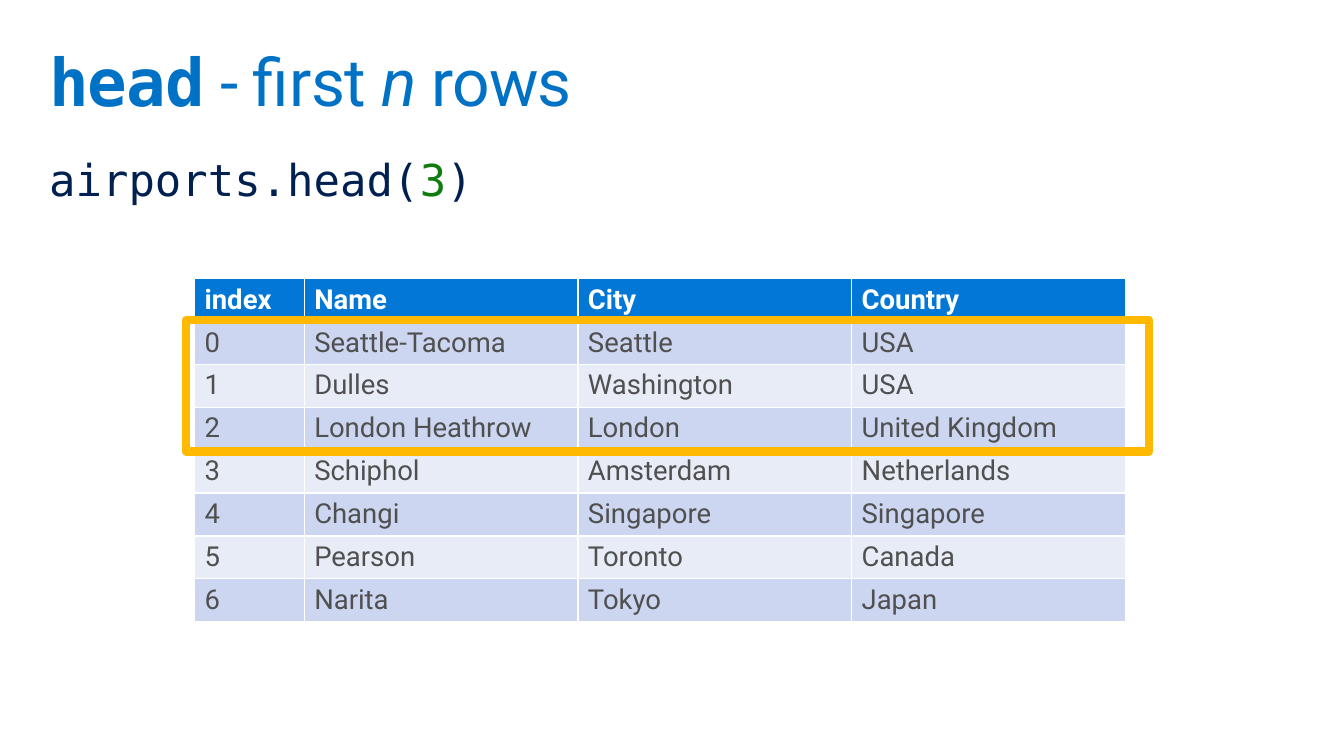
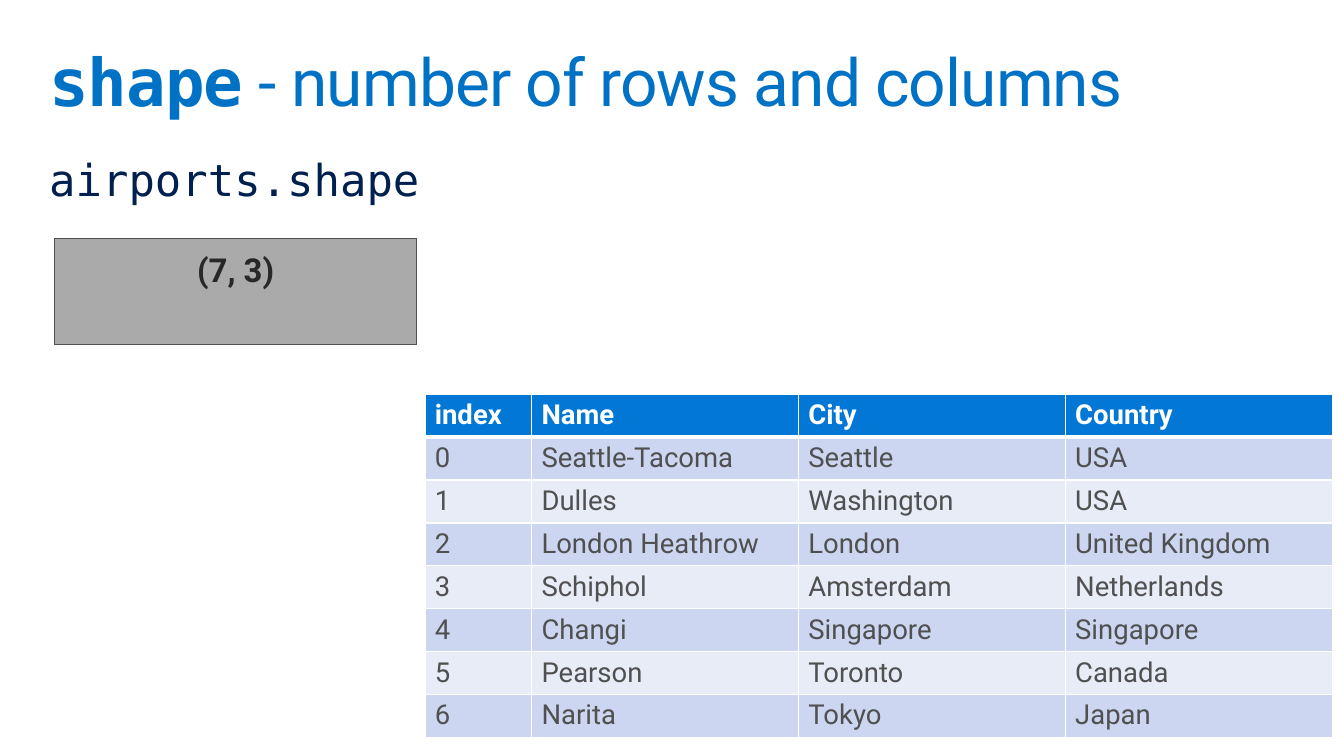
from dataclasses import dataclass
from lxml.etree import SubElement
from pptx import Presentation
from pptx.dml.color import RGBColor
from pptx.enum.shapes import MSO_SHAPE
from pptx.enum.text import MSO_ANCHOR, PP_ALIGN
from pptx.oxml.ns import qn
from pptx.util import Inches, Pt


@dataclass(frozen=True)
class Theme:
    sans: str = "Roboto"
    mono: str = "DejaVu Sans Mono"
    title: str = "0072C6"
    code: str = "002050"
    number: str = "107C10"
    head: str = "0377D6"
    bands: tuple = ("CCD6F0", "E7ECF7")
    white: str = "FFFFFF"
    text: str = "505050"
    dark: str = "282828"
    gray: str = "AAAAAA"
    gold: str = "FEB900"
    title_size: int = 48
    code_size: int = 32
    box_size: int = 24
    cell_size: int = 20


THEME = Theme()
ROWS = [
    ("index", "Name", "City", "Country"),
    ("0", "Seattle-Tacoma", "Seattle", "USA"),
    ("1", "Dulles", "Washington", "USA"),
    ("2", "London Heathrow", "London", "United Kingdom"),
    ("3", "Schiphol", "Amsterdam", "Netherlands"),
    ("4", "Changi", "Singapore", "Singapore"),
    ("5", "Pearson", "Toronto", "Canada"),
    ("6", "Narita", "Tokyo", "Japan"),
]


def color(value):
    return RGBColor.from_string(value)


def style(font, size, tint, name=None, bold=None):
    font.size = Pt(size)
    font.color.rgb = color(tint)
    font.name = name
    font.bold = bold


def add_text(slide, top, height):
    box = slide.shapes.add_textbox(Inches(0.4), Inches(top), Inches(12.8), Inches(height))
    frame = box.text_frame
    frame.word_wrap = True
    frame.margin_left = frame.margin_right = Inches(0.1)
    frame.margin_top = frame.margin_bottom = Inches(0.1)
    para = frame.paragraphs[0]
    para.line_spacing = 0.9
    return para


def add_run(para, text):
    run = para.add_run()
    run.text = text
    return run


def add_title(slide, name, parts):
    para = add_text(slide, 0.4, 1)
    style(para.font, THEME.title_size, THEME.title)
    for spot, text in enumerate([name, *parts]):
        run = add_run(para, text)
        run.font.name = THEME.sans if spot else THEME.mono
        run.font.bold = spot == 0
        run.font.italic = text == "n"
        run.font._element.set("spc", "-70")


def add_code(slide, parts, height):
    para = add_text(slide, 1.5, height)
    style(para.font, THEME.code_size, THEME.code, THEME.mono)
    for text in parts:
        run = add_run(para, text)
        if text.isdigit():
            run.font.color.rgb = color(THEME.number)


def add_edges(cell, base):
    props = cell._tc.get_or_add_tcPr()
    for side, width in (("L", 1), ("R", 1), ("T", 1), ("B", base)):
        line = SubElement(props, qn(f"a:ln{side}"), w=str(Pt(width)))
        fill = SubElement(line, qn("a:solidFill"))
        SubElement(fill, qn("a:srgbClr"), val=THEME.white)


def add_grid(slide, left, top, first, other):
    widths = [first] + [other] * (len(ROWS[0]) - 1)
    high = 0.43
    frame = slide.shapes.add_table(
        len(ROWS), len(widths), Inches(left), Inches(top),
        Inches(sum(widths)), Inches(high * len(ROWS)))
    table = frame.table
    for col, width in zip(table.columns, widths):
        col.width = Inches(width)
    for r, row in enumerate(ROWS):
        table.rows[r].height = Inches(high)
        for c, text in enumerate(row):
            cell = table.cell(r, c)
            add_edges(cell, 1 if r else 3)
            cell.fill.solid()
            cell.fill.fore_color.rgb = color(THEME.bands[(r - 1) % 2] if r else THEME.head)
            cell.text = text
            style(cell.text_frame.paragraphs[0].font, THEME.cell_size,
                  THEME.text if r else THEME.white, THEME.sans, r == 0)


def add_box(slide, left, top, width, height, line, weight, fill=None):
    box = slide.shapes.add_shape(
        MSO_SHAPE.RECTANGLE, Inches(left), Inches(top), Inches(width), Inches(height))
    box.shadow.inherit = False
    box.line.color.rgb = color(line)
    box.line.width = Pt(weight)
    if fill:
        box.fill.solid()
        box.fill.fore_color.rgb = color(fill)
    else:
        box.fill.background()
    return box


def add_result(slide, text):
    box = add_box(slide, 0.55, 2.41, 3.67, 1.08, THEME.text, 0.75, THEME.gray)
    frame = box.text_frame
    frame.word_wrap = True
    frame.vertical_anchor = MSO_ANCHOR.TOP
    frame.margin_left = frame.margin_right = Inches(0.2)
    frame.margin_top = frame.margin_bottom = Inches(0.16)
    para = frame.paragraphs[0]
    para.text = text
    para.alignment = PP_ALIGN.CENTER
    para.line_spacing = 0.9
    style(para.font, THEME.box_size, THEME.dark, THEME.sans, True)


def add_slide(deck, name, title, code, height):
    slide = deck.slides.add_slide(deck.slide_layouts[6])
    add_title(slide, name, title)
    add_code(slide, code, height)
    return slide


def main():
    deck = Presentation()
    deck.slide_width = Inches(13.6)
    deck.slide_height = Inches(7.65)

    slide = add_slide(deck, "head", [" - first ", "n", " rows"],
                      ["airports.head(", "3", ")"], 0.69)
    add_grid(slide, 1.97, 2.82, 1.11, 2.77)
    add_box(slide, 1.88, 3.24, 9.75, 1.33, THEME.gold, 6)

    slide = add_slide(deck, "shape", [" - number of rows and columns"],
                      ["airports.shape"], 1.26)
    add_grid(slide, 4.3, 3.99, 1.08, 2.7)
    add_result(slide, "(7, 3)")

    deck.save("out.pptx")


if __name__ == "__main__":
    main()
